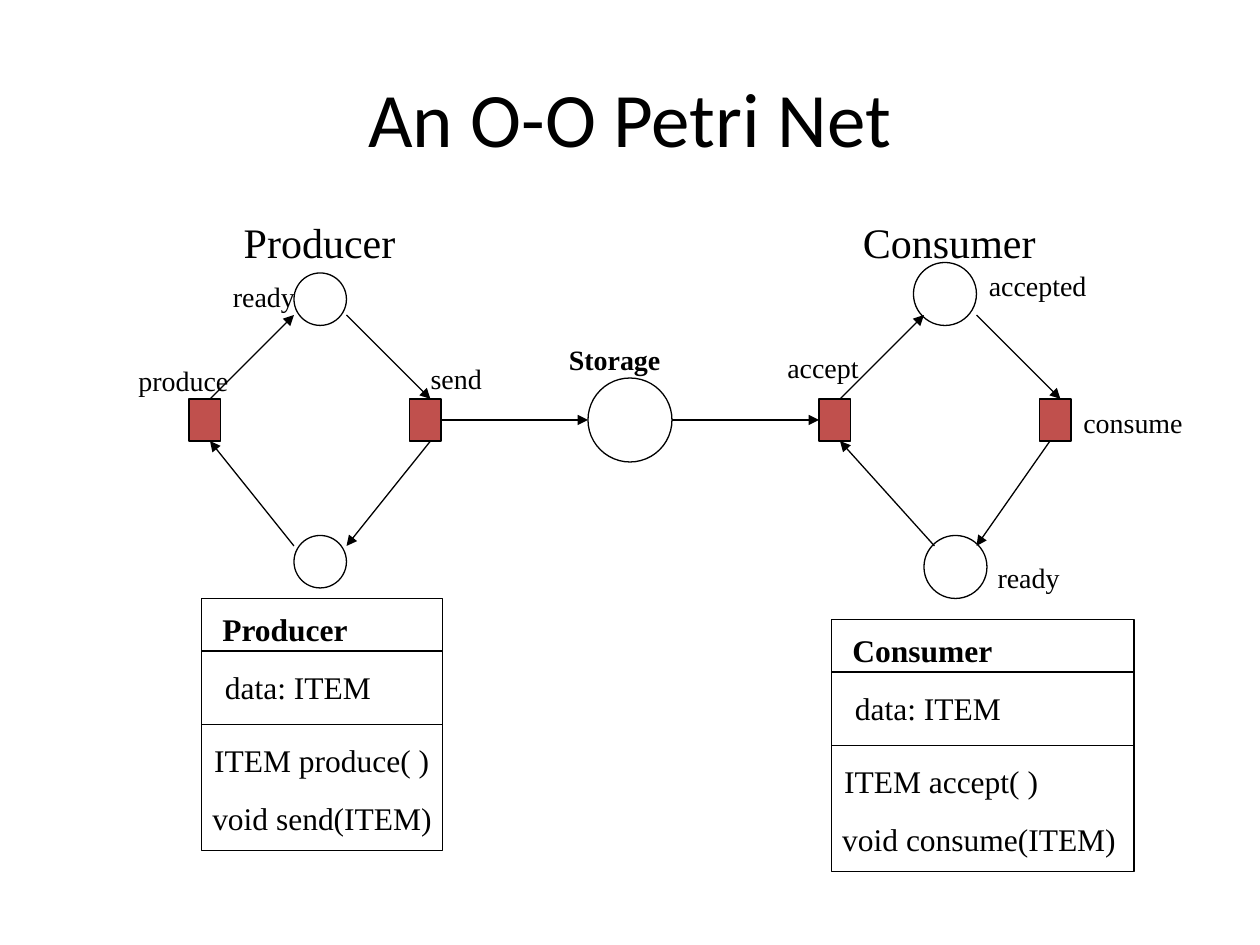
"""Build the slide showing an object-oriented Petri net."""
import pptx
import pptx.dml.color
import pptx.enum.shapes
import pptx.enum.text
import pptx.oxml
import pptx.oxml.ns
import pptx.util

Pt = pptx.util.Pt
SHAPE = pptx.enum.shapes.MSO_SHAPE
BLACK = "000000"
TRANSITION_RED = "C0504D"
SERIF = "Times New Roman"

PLACES = [
    (168, 156, 30), (168, 306, 30), (336, 216, 48),
    (522, 150, 36), (528, 306, 36),
]
TRANSITION_LEFTS = [108, 234, 468, 594]
ARCS = [
    (120, 228, 168, 180), (198, 180, 246, 228),
    (246, 252, 198, 312), (168, 312, 120, 252),
    (480, 228, 528, 180), (558, 180, 606, 228),
    (600, 252, 558, 312), (534, 312, 480, 252),
    (252, 240, 336, 240), (384, 240, 468, 240),
]
LABELS = [
    ("ready", 126, 156, 52), ("produce", 72, 204, 68),
    ("send", 239, 203, 46), ("accept", 442.8, 196.6, 57),
    ("accepted", 558, 150, 72), ("consume", 612, 228, 74),
    ("ready", 563, 316.8, 52),
]
HEADINGS = [("Producer", 132.2, 120, 103), ("Consumer", 486, 120, 115)]
CLASSES = [
    (115, 342, 138, [("Producer", 89), ("data: ITEM", 100),
                     ("ITEM produce( )", 140), ("void send(ITEM)", 146)]),
    (475, 354, 173, [("Consumer", 97), ("data: ITEM", 100),
                     ("ITEM accept( )", 128), ("void consume(ITEM)", 177)]),
]
MEMBER_OFFSETS = [(5, 3), (6.5, 36), (0.3, 77.7), (-0.8, 111)]


def rgb(color):
    """Return the colour for a hex string."""
    return pptx.dml.color.RGBColor.from_string(color)


def set_line(line):
    """Give an outline or connector the common black stroke."""
    line.color.rgb = rgb(BLACK)
    line.width = Pt(0.75)


def add_text(page, text, left, top, width, height,
             align=pptx.enum.text.PP_ALIGN.LEFT, **font_format):
    """Add a single line of text in a box."""
    box = page.shapes.add_textbox(Pt(left), Pt(top), Pt(width), Pt(height))
    frame = box.text_frame
    frame.word_wrap = False
    frame.vertical_anchor = pptx.enum.text.MSO_ANCHOR.MIDDLE
    para = frame.paragraphs[0]
    para.alignment = align
    span = para.add_run()
    span.text = text
    span.font.color.rgb = rgb(BLACK)
    for name, value in ({"name": SERIF} | font_format).items():
        setattr(span.font, name, value)


def add_outline(page, kind, left, top, width, height, fill=None):
    """Add an outlined preset shape, filled when a colour is given."""
    shape = page.shapes.add_shape(kind, Pt(left), Pt(top), Pt(width), Pt(height))
    shape.shadow.inherit = False
    set_line(shape.line)
    if fill:
        shape.fill.solid()
        shape.fill.fore_color.rgb = rgb(fill)
    else:
        shape.fill.background()


def add_line(page, start_x, start_y, end_x, end_y, arrow=False):
    """Add a straight connector, with an arrowhead at its end on request."""
    connector = page.shapes.add_connector(
        pptx.enum.shapes.MSO_CONNECTOR.STRAIGHT,
        Pt(start_x), Pt(start_y), Pt(end_x), Pt(end_y))
    set_line(connector.line)
    namespace = pptx.oxml.ns.nsdecls("a")
    properties = connector._element.spPr
    if arrow:
        properties.find(pptx.oxml.ns.qn("a:ln")).append(
            pptx.oxml.parse_xml(f'<a:tailEnd {namespace} type="triangle"/>'))
    properties.append(pptx.oxml.parse_xml(f"<a:effectLst {namespace}/>"))


def add_class(page, left, top, width, members):
    """Add a class box with its name, attribute and operations."""
    add_outline(page, SHAPE.RECTANGLE, left, top, width, 144)
    for offset in (30, 72):
        add_line(page, left, top + offset, left + width, top + offset)
    for index, ((text, text_width), (across, down)) in enumerate(
            zip(members, MEMBER_OFFSETS)):
        add_text(page, text, left + across, top + down, text_width, 29,
                 size=Pt(18), bold=index == 0)


def main():
    """Build and save the deck."""
    deck = pptx.Presentation()
    deck.slide_width, deck.slide_height = Pt(720), Pt(540)
    page = deck.slides.add_slide(deck.slide_layouts[6])
    add_text(page, "An O-O Petri Net", 36, 21.6, 648, 90, name="Calibri",
             size=Pt(44), align=pptx.enum.text.PP_ALIGN.CENTER)
    for left, top, size in PLACES:
        add_outline(page, SHAPE.OVAL, left, top, size, size)
    for arc in ARCS:
        add_line(page, *arc, arrow=True)
    for left in TRANSITION_LEFTS:
        add_outline(page, SHAPE.RECTANGLE, left, 228, 18, 24, TRANSITION_RED)
    for label in LABELS:
        add_text(page, *label, 26.6, size=Pt(16))
    add_text(page, "Storage", 318, 192, 73, 26.6, size=Pt(16), bold=True)
    for heading in HEADINGS:
        add_text(page, *heading, 36, size=Pt(24))
    for class_box in CLASSES:
        add_class(page, *class_box)
    deck.save("out.pptx")


if __name__ == "__main__":
    main()
